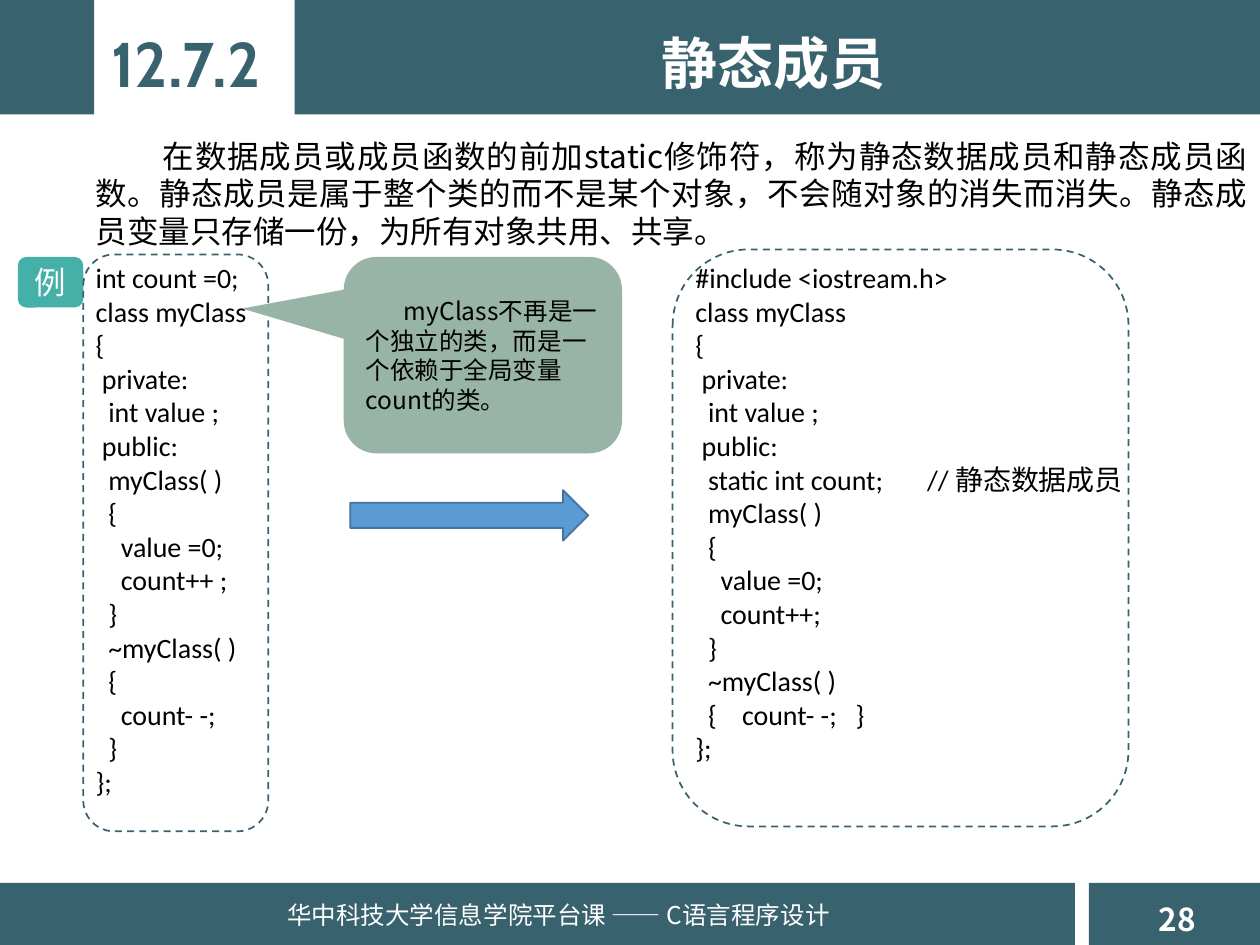
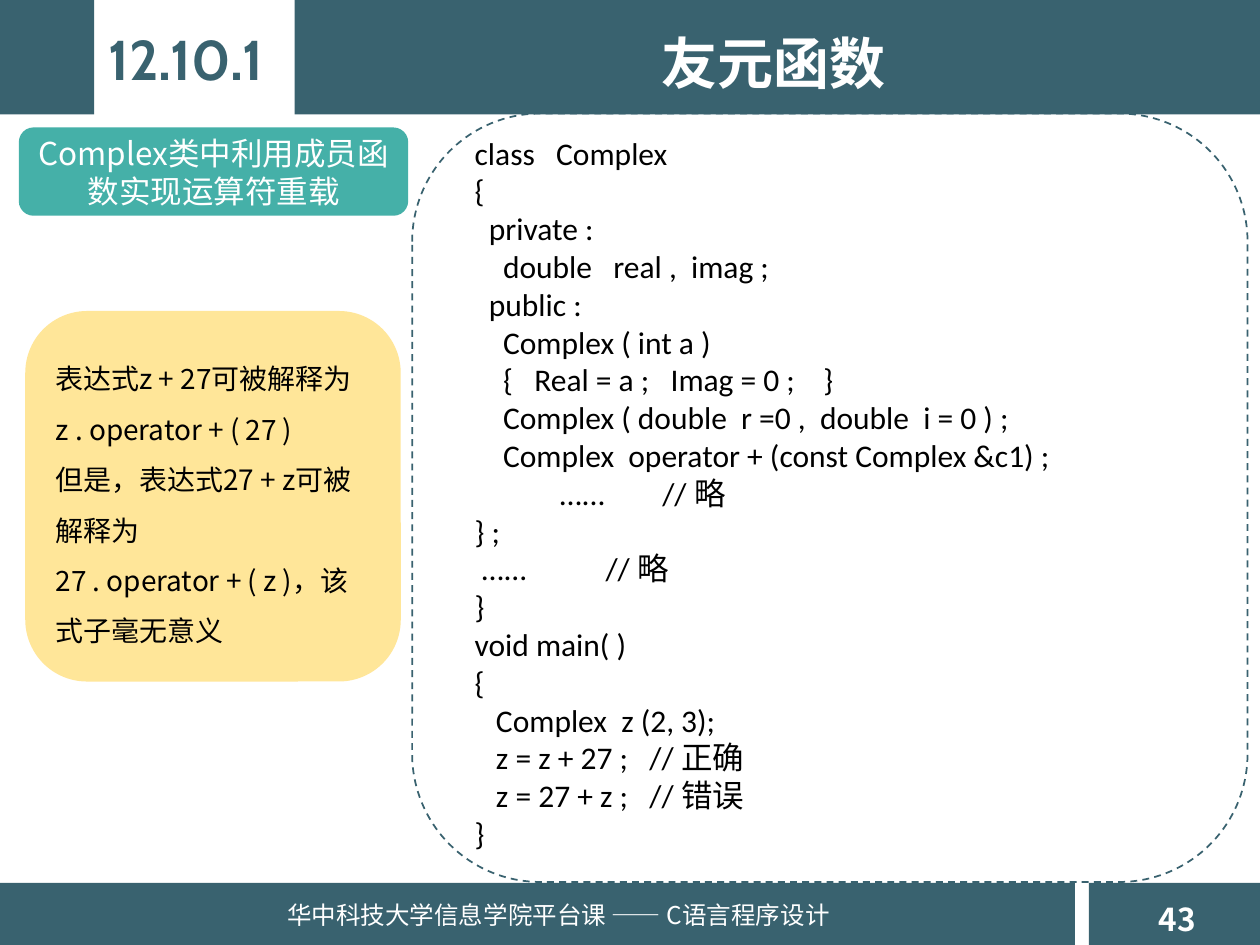
import pptx
import pptx.util
import pptx.dml.color
import pptx.enum.dml
import pptx.enum.shapes
import pptx.enum.text
import pptx.oxml.ns

Cm = pptx.util.Cm
Pt = pptx.util.Pt
SHAPE = pptx.enum.shapes.MSO_SHAPE
ALIGN = pptx.enum.text.PP_ALIGN
ANCHOR = pptx.enum.text.MSO_ANCHOR

SLATE = "39626F"
TEAL = "45B0A8"
SAGE = "98B4A6"
CREAM = "FFE699"
WHITE = "FFFFFF"
BLACK = "000000"
CJK_FONT = "Noto Sans CJK SC"
FOOTER = "华中科技大学信息学院平台课 —— C语言程序设计"
BANDS = [
    (0, 0, 1.9, 2.31),
    (5.94, 0, 19.46, 2.31),
    (0, 17.8, 21.67, 1.25),
    (21.95, 17.8, 3.45, 1.25),
]

GLOBAL_COUNT_CODE = """int count =0;
class myClass
{
 private:
  int value ;
 public:
  myClass( )
  {
    value =0;
    count++ ;
  }
  ~myClass( )
  {
    count- -;
  }
};"""

STATIC_COUNT_CODE = """#include <iostream.h>
class myClass
{
 private:
  int value ;
 public:
  static int count;       // 静态数据成员
  myClass( )
  {
    value =0;
    count++;
  }
  ~myClass( )
  {    count- -;   }
};"""

COMPLEX_CODE = """class   Complex
{
  private :
    double   real ,  imag ;
  public :
    Complex ( int a )
    {   Real = a ;   Imag = 0 ;    }
    Complex ( double  r =0 ,  double  i = 0 ) ;
    Complex  operator + (const Complex &c1) ;
            …...        // 略
} ;
 …...           // 略
}
void main( )
{
   Complex  z (2, 3);
   z = z + 27 ;   // 正确
   z = 27 + z ;   // 错误
}"""


def rgb(value):
    return pptx.dml.color.RGBColor.from_string(value)


class Lesson:
    def __init__(self):
        self.deck = pptx.Presentation()
        self.deck.slide_width = Cm(25.4)
        self.deck.slide_height = Cm(19.05)
        self.page = None

    def start(self, section, title, number):
        self.page = self.deck.slides.add_slide(self.deck.slide_layouts[5])
        for band in BANDS:
            self.shape(SHAPE.RECTANGLE, band, fill=SLATE)
        self.text((23.11, 18.01, 2.2, 1), [number], 18, color=WHITE, bold=True)
        self.text((5.54, 18.01, 14, 0.86), [FOOTER], 14, color=WHITE)
        self.text((1.55, 0.36, 4.4, 1.8), [section[0]], section[1], font="Cabin",
                  color=SLATE, bold=True, align=ALIGN.CENTER)
        heading = self.page.shapes.title
        heading.left, heading.top, heading.width, heading.height = map(
            Cm, (7.34, 0.45, 16.51, 1.63))
        self.set_lines(heading, [title], 32, color=WHITE, bold=True,
                       align=ALIGN.CENTER)
        tree = heading._element.getparent()
        tree.append(heading._element)

    def set_lines(self, box, lines, size, font=CJK_FONT, color=BLACK, bold=False,
                  align=ALIGN.LEFT, anchor=ANCHOR.TOP, indent=0, spacing=1.2):
        frame = box.text_frame
        frame.word_wrap = True
        frame.auto_size = pptx.enum.text.MSO_AUTO_SIZE.NONE
        frame.vertical_anchor = anchor
        for index, line in enumerate(lines):
            para = frame.add_paragraph() if index else frame.paragraphs[0]
            para.alignment = align
            para.line_spacing = Pt(round(size * spacing, 1))
            if indent:
                para._p.get_or_add_pPr().set("indent", str(Cm(indent)))
            span = para.add_run()
            span.text = line
            span.font.name = font
            span.font.size = Pt(size)
            span.font.bold = bold
            span.font.color.rgb = rgb(color)
            east_asian = span.font._element.makeelement(
                pptx.oxml.ns.qn("a:ea"), {"typeface": CJK_FONT})
            span.font._element.find(pptx.oxml.ns.qn("a:latin")).addnext(east_asian)

    def text(self, place, lines, size, **style):
        box = self.page.shapes.add_textbox(*map(Cm, place))
        self.set_lines(box, lines, size, **style)

    def code(self, place, source, size):
        self.text(place, source.splitlines(), size, font="Calibri")

    def shape(self, kind, place, fill=None, line=None, dashed=False):
        shape = self.page.shapes.add_shape(kind, *map(Cm, place))
        shape.shadow.inherit = False
        if fill:
            shape.fill.solid()
            shape.fill.fore_color.rgb = rgb(fill)
        else:
            shape.fill.background()
        if line:
            shape.line.color.rgb = rgb(line)
            shape.line.width = Pt(1)
        else:
            shape.line.fill.background()
        if dashed:
            shape.line.dash_style = pptx.enum.dml.MSO_LINE.DASH
        return shape

    def frame(self, place):
        self.shape(SHAPE.ROUNDED_RECTANGLE, place, line=SLATE, dashed=True)

    def card(self, place, lines, size, fill, kind=SHAPE.ROUNDED_RECTANGLE, **style):
        card = self.shape(kind, place, fill=fill)
        self.set_lines(card, lines, size, anchor=ANCHOR.MIDDLE, **style)
        return card

    def label(self, place, caption):
        self.card(place, [caption], 18, TEAL, color=WHITE, align=ALIGN.CENTER)


def static_members(lesson):
    lesson.start(("12.7.2", 36), "静态成员", "28")
    lesson.text((1.68, 2.63, 23.72, 2.57), [
        "在数据成员或成员函数的前加static修饰符，称为静态数据成员和静态成员函数。"
        "静态成员是属于整个类的而不是某个对象，不会随对象的消失而消失。"
        "静态成员变量只存储一份，为所有对象共用、共享。",
    ], 18, align=ALIGN.JUSTIFY, indent=1.35)
    lesson.code((1.68, 5.13, 4.24, 11.53), GLOBAL_COUNT_CODE, 16)
    lesson.label((0.36, 5.18, 1.32, 1.02), "例")
    lesson.frame((1.68, 5.13, 3.73, 11.63))
    lesson.code((13.77, 5.13, 10, 10.52), STATIC_COUNT_CODE, 16)
    lesson.frame((13.56, 5.03, 9.19, 11.63))
    lesson.shape(SHAPE.RIGHT_ARROW, (7.06, 9.88, 4.8, 1.02),
                 fill="5B9BD5", line="43739E")
    callout = lesson.card((6.93, 5.18, 5.61, 3.96), [
        "myClass不再是一个独立的类，而是一个依赖于全局变量count的类。",
    ], 14, SAGE, kind=SHAPE.ROUNDED_RECTANGULAR_CALLOUT, indent=0.77)
    callout.adjustments[0] = -0.865
    callout.adjustments[1] = -0.237


def friend_functions(lesson):
    lesson.start(("12.10.1", 32), "友元函数", "43")
    lesson.code((9.32, 2.57, 15.9, 14.88), COMPLEX_CODE, 18)
    lesson.frame((8.31, 2.29, 16.84, 15.49))
    lesson.label((0.38, 2.57, 7.85, 1.78), "Complex类中利用成员函数实现运算符重载")
    lesson.card((0.51, 6.27, 7.57, 7.47), [
        "表达式z + 27可被解释为",
        "z . operator + ( 27 )",
        "但是，表达式27 + z可被解释为",
        "27 . operator + ( z )，该式子毫无意义",
    ], 16, CREAM, spacing=1.8)


def main():
    lesson = Lesson()
    static_members(lesson)
    friend_functions(lesson)
    lesson.deck.save("out.pptx")


if __name__ == "__main__":
    main()
